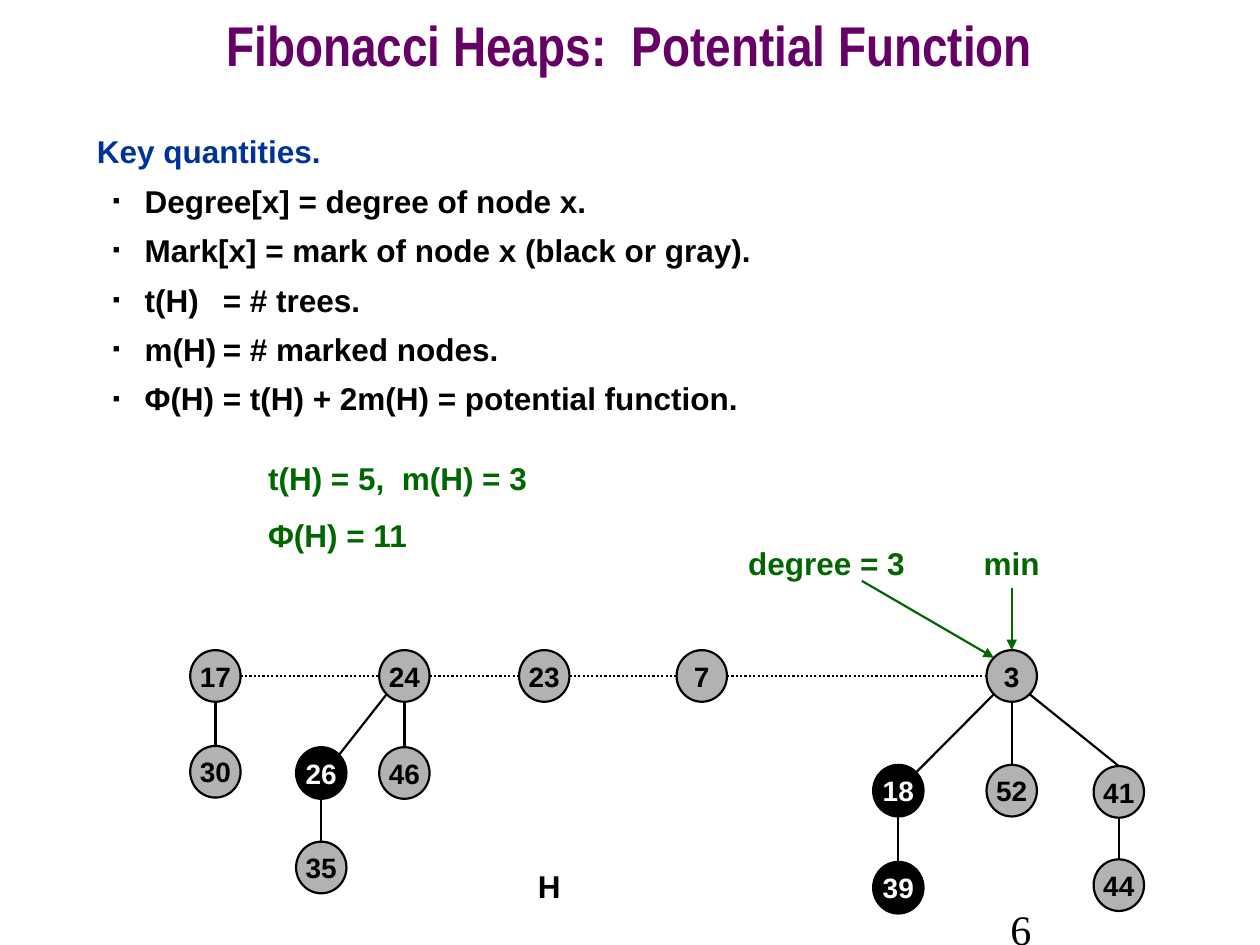
from typing import NamedTuple

from lxml.etree import SubElement
from pptx import Presentation
from pptx.dml.color import RGBColor
from pptx.enum.dml import MSO_LINE
from pptx.enum.shapes import MSO_CONNECTOR, MSO_SHAPE
from pptx.enum.text import MSO_ANCHOR, PP_ALIGN
from pptx.oxml.ns import qn
from pptx.util import Inches, Pt

COLORS = {
    "title": "660066", "heading": "003399", "note": "006600",
    "black": "000000", "white": "FFFFFF", "gray": "B2B2B2", "marked": "010000",
}
NODE_W, NODE_H = 0.4, 0.41
DIAGONAL = 0.5 ** 0.5
SITES = {
    "top": (0, -1), "bottom": (0, 1), "left": (-1, 0), "right": (1, 0),
    "top_left": (-DIAGONAL, -DIAGONAL), "top_right": (DIAGONAL, -DIAGONAL),
    "bottom_left": (-DIAGONAL, DIAGONAL), "bottom_right": (DIAGONAL, DIAGONAL),
}


class Node(NamedTuple):
    key: int
    left: float
    top: float
    marked: bool = False

    def site(self, name: str) -> tuple[float, float]:
        """Return the point on the node's rim with the given name."""
        dx, dy = SITES[name]
        return (self.left + NODE_W / 2 * (1 + dx), self.top + NODE_H / 2 * (1 + dy))


class Edge(NamedTuple):
    parent: int
    child: int
    start: str = "bottom"
    end: str = "top"


class Label(NamedTuple):
    box: tuple[float, float, float, float]
    lines: tuple[str, ...]
    color: str = "note"
    size: float = 18
    font: str = "Arial"
    bold: bool = True
    align: PP_ALIGN = PP_ALIGN.LEFT
    anchor: MSO_ANCHOR = MSO_ANCHOR.TOP
    spacing: float = 1.0
    before: float = 11.2


ROOT_TOP = 5.16
ROOTS = [Node(17, 1.51, ROOT_TOP), Node(24, 3.01, ROOT_TOP), Node(23, 4.12, ROOT_TOP),
         Node(7, 5.37, ROOT_TOP), Node(3, 7.83, ROOT_TOP)]
CHILDREN = [
    Node(30, 1.51, 5.92), Node(26, 2.35, 5.93, True), Node(46, 3.01, 5.93),
    Node(35, 2.35, 6.68), Node(18, 6.93, 6.07, True), Node(52, 7.83, 6.07),
    Node(41, 8.68, 6.08), Node(39, 6.93, 6.84, True), Node(44, 8.68, 6.82),
]
EDGES = [
    Edge(17, 30), Edge(24, 26, "bottom_left", "top_right"), Edge(24, 46), Edge(26, 35),
    Edge(3, 18, "bottom_left", "top_right"), Edge(3, 52), Edge(3, 41, "bottom_right"),
    Edge(18, 39), Edge(41, 44),
]
LABELS = [
    Label((0, 0, 10, 0.83), ("Fibonacci Heaps:  Potential Function",), "title", 32,
          "Arial Narrow", align=PP_ALIGN.CENTER, anchor=MSO_ANCHOR.MIDDLE, spacing=0.7),
    Label((4.17, 6.83, 0.42, 0.4), ("H",), "black"),
    Label((2.03, 3.59, 2.5, 0.86), ("t(H) = 5,  m(H) = 3", "Φ(H) = 11")),
    Label((7.63, 4.26, 0.8, 0.41), ("min",),
          align=PP_ALIGN.CENTER, anchor=MSO_ANCHOR.MIDDLE),
    Label((5.81, 4.26, 1.5, 0.41), ("degree = 3",),
          align=PP_ALIGN.CENTER, anchor=MSO_ANCHOR.MIDDLE),
    Label((7.92, 7.12, 2.08, 0.5), ("6",), "black", 24, "Times New Roman", False,
          anchor=MSO_ANCHOR.MIDDLE),
]
KEY_QUANTITIES = Label((0.67, 1, 8.58, 2.5), ("Key quantities.",), "heading")
DEFINITIONS = [
    "Degree[x] = degree of node x.",
    "Mark[x] = mark of node x (black or gray).",
    "t(H)\t= # trees.",
    "m(H)\t= # marked nodes.",
    "Φ(H)\t= t(H) + 2m(H) = potential function.",
]


def rgb(color: str) -> RGBColor:
    return RGBColor.from_string(COLORS[color])


def write(p, text: str, color: str, size: float, font: str = "Arial", bold: bool = True) -> None:
    r = p.add_run()
    r.text = text
    for name, value in {"size": Pt(size), "name": font, "bold": bold}.items():
        setattr(r.font, name, value)
    r.font.color.rgb = rgb(color)


def add_label(s, label: Label):
    tf = s.shapes.add_textbox(*map(Inches, label.box)).text_frame
    tf.word_wrap = True
    tf.vertical_anchor = label.anchor
    for i, line in enumerate(label.lines):
        p = tf.add_paragraph() if i else tf.paragraphs[0]
        p.alignment = label.align
        p.line_spacing = label.spacing
        if i:
            p.space_before = Pt(label.before)
        write(p, line, label.color, label.size, label.font, label.bold)
    return tf


def add_definition(tf, text: str) -> None:
    """Add a paragraph with a small square bullet and a tab stop at one inch."""
    p = tf.add_paragraph()
    pPr = p._p.get_or_add_pPr()
    pPr.set("marL", str(Inches(0.38)))
    pPr.set("indent", str(Inches(-0.25)))
    SubElement(SubElement(pPr, qn("a:buClr")), qn("a:srgbClr"), val=COLORS["black"])
    SubElement(pPr, qn("a:buSzPct"), val="35000")
    SubElement(pPr, qn("a:buFont"), typeface="Arial")
    SubElement(pPr, qn("a:buChar"), char="■")
    SubElement(SubElement(pPr, qn("a:tabLst")), qn("a:tab"), pos=str(Inches(1)), algn="l")
    p.line_spacing = 1.1
    p.space_before = Pt(4.5)
    write(p, text, "black", 18)


def add_line(s, start: tuple[float, float], end: tuple[float, float],
             color: str = "black", dotted: bool = False, arrow: bool = False) -> None:
    sp = s.shapes.add_connector(MSO_CONNECTOR.STRAIGHT, *map(Inches, (*start, *end)))
    sp.line.color.rgb = rgb(color)
    sp.line.width = Pt(1.25)
    if dotted:
        sp.line.dash_style = MSO_LINE.ROUND_DOT
    if arrow:
        SubElement(sp.line._get_or_add_ln(), qn("a:tailEnd"), type="triangle")
    SubElement(sp._element.spPr, qn("a:effectLst"))


def add_node(s, node: Node) -> None:
    sp = s.shapes.add_shape(MSO_SHAPE.OVAL, *map(Inches, (node.left, node.top, NODE_W, NODE_H)))
    sp.shadow.inherit = False
    sp.fill.solid()
    sp.fill.fore_color.rgb = rgb("marked" if node.marked else "gray")
    sp.line.color.rgb = rgb("black")
    sp.line.width = Pt(1.25)
    tf = sp.text_frame
    tf.word_wrap = False
    tf.vertical_anchor = MSO_ANCHOR.MIDDLE
    p = tf.paragraphs[0]
    p.alignment = PP_ALIGN.CENTER
    write(p, str(node.key), "white" if node.marked else "black", 16)


def main() -> None:
    prs = Presentation()
    prs.slide_width, prs.slide_height = Inches(10), Inches(7.5)
    s = prs.slides.add_slide(prs.slide_layouts[6])

    for label in LABELS:
        add_label(s, label)
    tf = add_label(s, KEY_QUANTITIES)
    for text in DEFINITIONS:
        add_definition(tf, text)

    nodes = {node.key: node for node in ROOTS + CHILDREN}
    for a, b in zip(ROOTS, ROOTS[1:]):
        add_line(s, a.site("right"), b.site("left"), dotted=True)
    for edge in EDGES:
        add_line(s, nodes[edge.parent].site(edge.start), nodes[edge.child].site(edge.end))
    for node in nodes.values():
        add_node(s, node)
    for start, site in (((8.03, 4.67), "top"), ((6.84, 4.61), "top_left")):
        add_line(s, start, nodes[3].site(site), "note", arrow=True)

    prs.save("out.pptx")


if __name__ == "__main__":
    main()
